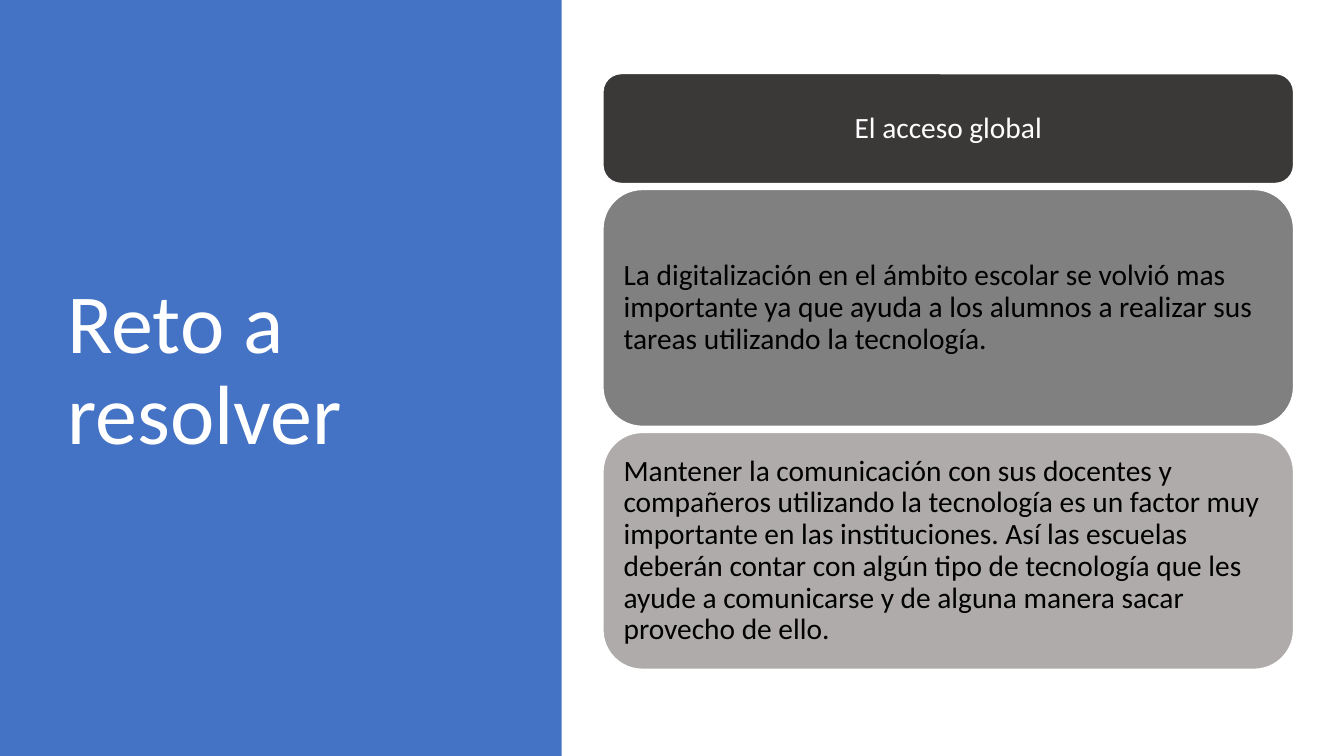
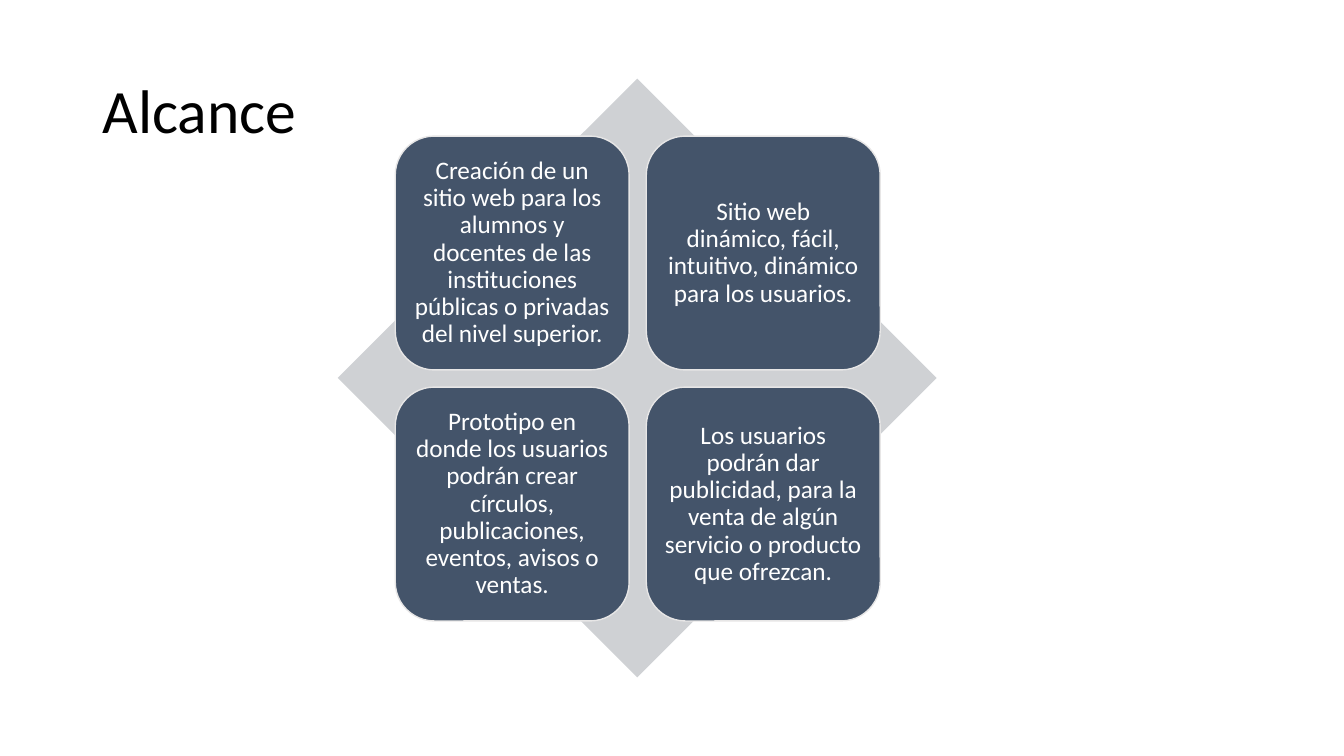
import pptx
import pptx.util
import pptx.dml.color
import pptx.enum.shapes
import pptx.enum.text

Inches = pptx.util.Inches
Shapes = pptx.enum.shapes.MSO_SHAPE
Align = pptx.enum.text.PP_ALIGN
color = pptx.dml.color.RGBColor.from_string

FONT = "Calibri"
WHITE, BLACK = "FFFFFF", "000000"
BLUE, SLATE, PALE_SLATE, PALE_GRAY = "4472C4", "44546A", "CFD1D4", "E7E6E6"


def add_block(page, preset, left, top, width, height, fill, line=None):
    block = page.shapes.add_shape(
        preset, Inches(left), Inches(top), Inches(width), Inches(height))
    block.shadow.inherit = False
    block.fill.solid()
    block.fill.fore_color.rgb = color(fill)
    if line:
        block.line.color.rgb = color(line)
        block.line.width = pptx.util.Pt(1)
    else:
        block.line.fill.background()
    return block


def write(box, text, size, ink, align=Align.LEFT, inset=None):
    frame = box.text_frame
    frame.word_wrap = True
    frame.vertical_anchor = pptx.enum.text.MSO_ANCHOR.MIDDLE
    if inset is not None:
        frame.margin_left = frame.margin_right = Inches(inset)
        frame.margin_top = frame.margin_bottom = Inches(inset)
    para = frame.paragraphs[0]
    para.alignment = align
    para.line_spacing = 0.9
    span = para.add_run()
    span.text = text
    span.font.name = FONT
    span.font.size = pptx.util.Pt(size)
    span.font.color.rgb = color(ink)


deck = pptx.Presentation()
deck.slide_width = Inches(13.33)
deck.slide_height = Inches(7.5)
blank = deck.slide_layouts[6]

# Slide 1: blue title panel and a stack of cards
page = deck.slides.add_slide(blank)
add_block(page, Shapes.RECTANGLE, 0, 0, 5.57, 7.5, BLUE)
title = page.shapes.add_textbox(Inches(0.57), Inches(0.68), Inches(4.16), Inches(6.02))
write(title, "Reto a resolver", 60, WHITE)

cards = [
    ("El acceso global", 1.09, "3B3838", WHITE, Align.CENTER),
    ("La digitalización en el ámbito escolar se volvió mas importante ya que "
     "ayuda a los alumnos a realizar sus tareas utilizando la tecnología.",
     2.35, "808080", BLACK, Align.LEFT),
    ("Mantener la comunicación con sus docentes y compañeros utilizando la "
     "tecnología es un factor muy importante en las instituciones. Así las "
     "escuelas deberán contar con algún tipo de tecnología que les ayude a "
     "comunicarse y de alguna manera sacar provecho de ello.",
     2.35, "AFABAB", BLACK, Align.LEFT),
]
card_gap = 0.06
top = 0.73
for text, height, fill, ink, align in cards:
    card = add_block(page, Shapes.ROUNDED_RECTANGLE, 5.98, top, 6.85, height, fill, WHITE)
    write(card, text, 21, ink, align, inset=0.09)
    top += height + card_gap

# Slide 2: four tiles on a diamond
page = deck.slides.add_slide(blank)
title = page.shapes.add_textbox(Inches(0.92), Inches(0.4), Inches(11.5), Inches(1.45))
write(title, "Alcance", 44, BLACK)
add_block(page, Shapes.DIAMOND, 3.35, 0.78, 5.94, 5.94, PALE_SLATE)

tiles = [
    "Creación de un sitio web para los alumnos y docentes de las instituciones "
    "públicas o privadas del nivel superior.",
    "Sitio web dinámico, fácil, intuitivo, dinámico para los usuarios.",
    "Prototipo en donde los usuarios podrán crear círculos, publicaciones, "
    "eventos, avisos o ventas.",
    "Los usuarios podrán dar publicidad, para la venta de algún servicio o "
    "producto que ofrezcan.",
]
tile_size, tile_gap = 2.32, 0.17
for index, text in enumerate(tiles):
    row, column = divmod(index, 2)
    left = 3.92 + column * (tile_size + tile_gap)
    top = 1.35 + row * (tile_size + tile_gap)
    tile = add_block(page, Shapes.ROUNDED_RECTANGLE, left, top,
                     tile_size, tile_size, SLATE, PALE_GRAY)
    write(tile, text, 18, WHITE, Align.CENTER, inset=0.07)

deck.save("out.pptx")
